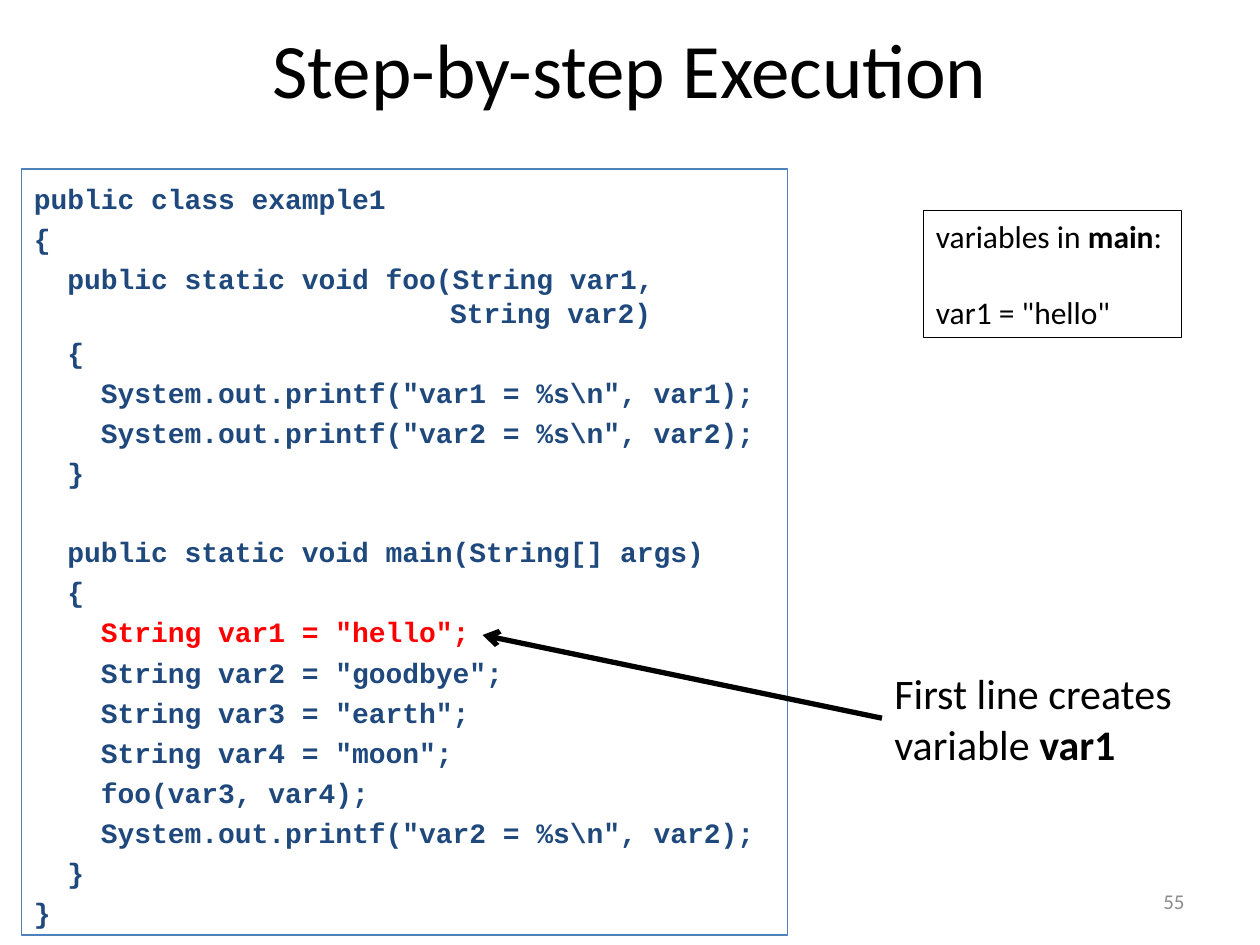
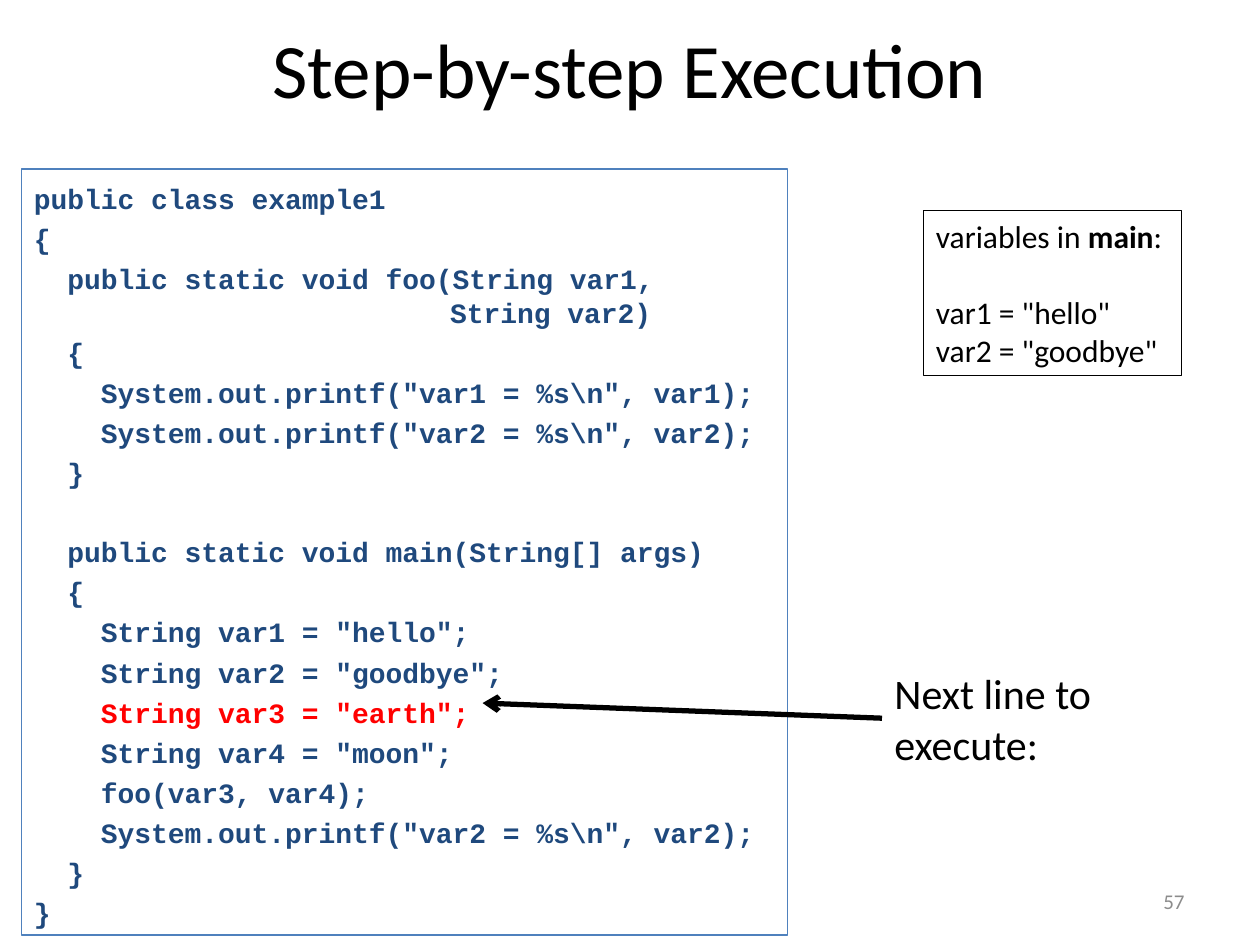
from pptx import Presentation
from pptx.dml.color import RGBColor
from pptx.enum.text import MSO_ANCHOR, PP_ALIGN
from pptx.enum.shapes import MSO_CONNECTOR
from pptx.oxml.ns import qn
from pptx.util import Inches, Pt
from lxml import etree

BLACK = RGBColor(0x00, 0x00, 0x00)
GRAY = RGBColor(0x8C, 0x8C, 0x8C)
NAVY = RGBColor(0x1F, 0x49, 0x7D)
BLUE = RGBColor(0x4F, 0x81, 0xBD)
RED = RGBColor(0xFF, 0x00, 0x00)

CODE = r"""public class example1
{
  public static void foo(String var1,
                      String var2)
  {
    System.out.printf("var1 = %s\n", var1);
    System.out.printf("var2 = %s\n", var2);
  }

  public static void main(String[] args)
  {
    String var1 = "hello";
    String var2 = "goodbye";
    String var3 = "earth";
    String var4 = "moon";
    foo(var3, var4);
    System.out.printf("var2 = %s\n", var2);
  }
}"""

STEPS = [
    dict(page="55", active="var1 =", vars=['var1 = "hello"'],
         note=[("First line creates", False), None, ("variable ", False), ("var1", True)],
         width=2.5, high=1.01, tip=5.04),
    dict(page="57", active="var3 =", vars=['var1 = "hello"', 'var2 = "goodbye"'],
         note=[("Next line to", False), None, ("execute:", False)],
         width=1.85, high=1.31, tip=5.58),
]


def add_run(para, text, size, color=BLACK, bold=False, face="Calibri"):
    run = para.add_run()
    run.text = text
    font = run.font
    font.name, font.size, font.bold = face, Pt(size), bold
    font.color.rgb = color


def add_box(slide, left, top, width, height, edge=None):
    box = slide.shapes.add_textbox(Inches(left), Inches(top), Inches(width), Inches(height))
    box.text_frame.word_wrap = True
    if edge is not None:
        box.line.color.rgb = edge
        box.line.width = Pt(0.75)
    return box.text_frame


deck = Presentation()
deck.slide_width, deck.slide_height = Inches(10), Inches(7.5)

for step in STEPS:
    slide = deck.slides.add_slide(deck.slide_layouts[5])

    title = slide.shapes.title
    title.left, title.top = Inches(0.5), Inches(0.08)
    title.width, title.height = Inches(9), Inches(0.92)
    title.text_frame.vertical_anchor = MSO_ANCHOR.MIDDLE
    para = title.text_frame.paragraphs[0]
    para.alignment = PP_ALIGN.CENTER
    add_run(para, "Step-by-step Execution", 44)

    frame = add_box(slide, 7.17, 6.95, 2.33, 0.4)
    frame.vertical_anchor = MSO_ANCHOR.MIDDLE
    para = frame.paragraphs[0]
    para.alignment = PP_ALIGN.RIGHT
    add_run(para, step["page"], 12, GRAY)

    frame = add_box(slide, 7.33, 1.67, 2.05, step["high"], BLACK)
    para = frame.paragraphs[0]
    for text, bold in [("variables in ", False), ("main", True), (":", False)]:
        add_run(para, text, 18, bold=bold)
    for spot, text in enumerate(step["vars"]):
        para = frame.add_paragraph()
        para.space_before = Pt(0 if spot else 22)
        add_run(para, text, 18)

    frame = add_box(slide, 0.17, 1.34, 6.08, 6.08, BLUE)
    frame.margin_top, frame.margin_bottom = Inches(0.1), Inches(0)
    para, gap = frame.paragraphs[0], 0
    for line in CODE.split("\n"):
        if not line:
            gap = 26.1
            continue
        if line.startswith(" " * 22):
            para.add_line_break()
        else:
            if para.runs:
                para = frame.add_paragraph()
            para.space_before = Pt(gap)
            gap = 3.7
            props = para._p.get_or_add_pPr()
            props.set("marL", str(Inches(0.38)))
            props.set("indent", str(-Inches(0.38)))
        color = RED if step["active"] in line and "printf" not in line else NAVY
        add_run(para, line, 16, color, True, "Courier New")

    frame = add_box(slide, 7, 5.25, step["width"], 0.91)
    frame.word_wrap = False
    para = frame.paragraphs[0]
    for part in step["note"]:
        if part is None:
            para.add_line_break()
        else:
            add_run(para, part[0], 24, bold=part[1])

    arrow = slide.shapes.add_connector(
        MSO_CONNECTOR.STRAIGHT, Inches(7), Inches(5.7), Inches(3.83), Inches(step["tip"]))
    arrow.line.color.rgb = BLACK
    arrow.line.width = Pt(3)
    etree.SubElement(arrow.line._get_or_add_ln(), qn("a:tailEnd"), type="arrow")
    etree.SubElement(arrow._element.spPr, qn("a:effectLst"))

deck.save("out.pptx")
